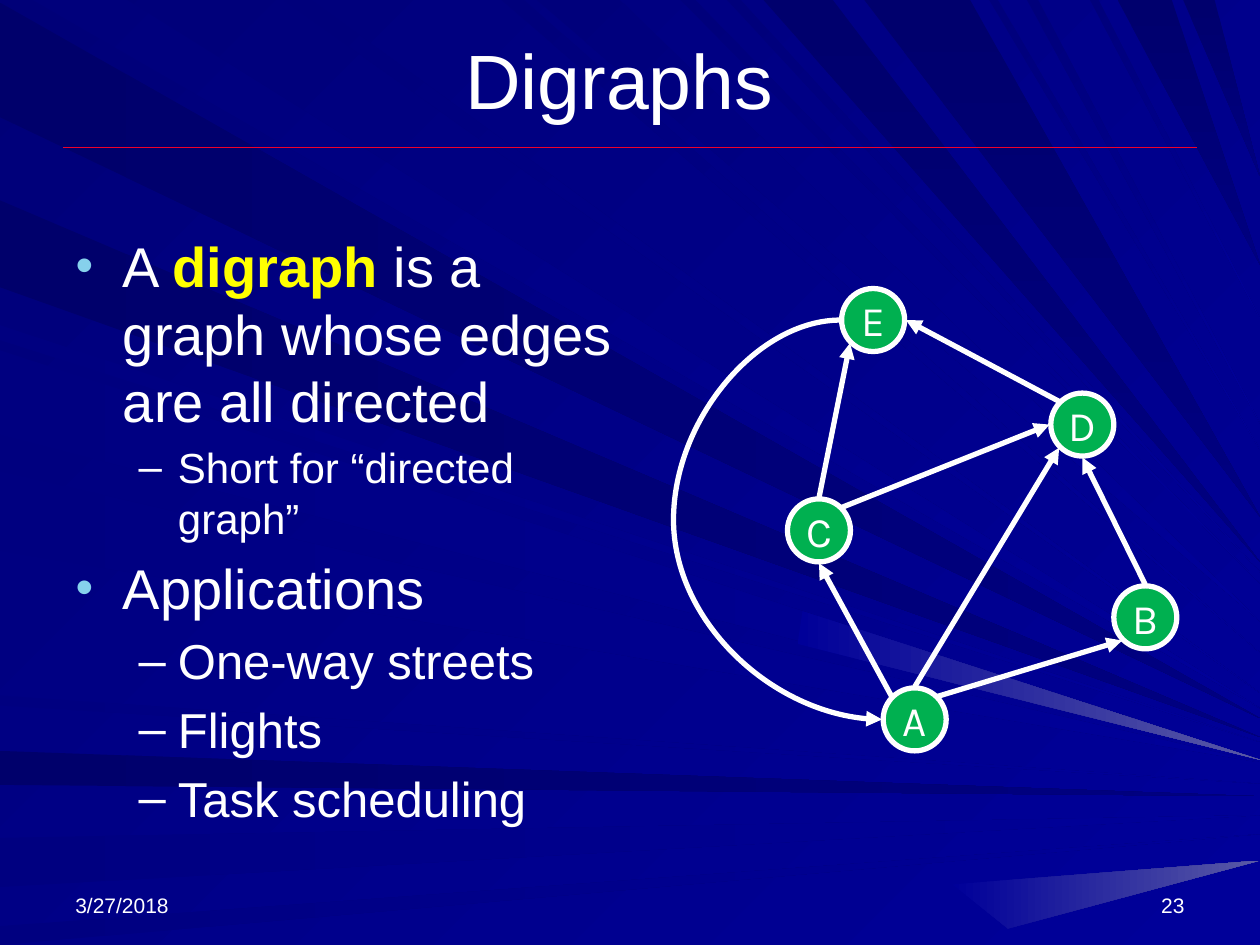
from dataclasses import dataclass
from math import cos, radians, sin

from lxml import etree
from pptx import Presentation
from pptx.dml.color import RGBColor
from pptx.enum.shapes import MSO_CONNECTOR, MSO_SHAPE
from pptx.enum.text import MSO_ANCHOR, MSO_AUTO_SIZE, PP_ALIGN
from pptx.oxml.ns import qn
from pptx.util import Inches, Pt

STRAIGHT, CURVE = MSO_CONNECTOR.STRAIGHT, MSO_CONNECTOR.CURVE
OVAL = MSO_SHAPE.OVAL
MIDDLE, BOTTOM = MSO_ANCHOR.MIDDLE, MSO_ANCHOR.BOTTOM
LEFT, CENTER, RIGHT = PP_ALIGN.LEFT, PP_ALIGN.CENTER, PP_ALIGN.RIGHT
WIDTH, HEIGHT = 10, 7.5
MARGIN = 0.05 * WIDTH


@dataclass(frozen=True)
class Theme:
    text: str = "FFFFFF"
    key: str = "FFFF00"
    bullet: str = "86D1EC"
    rule: str = "EF0129"
    node: str = "00B050"
    sky: tuple = ("000078", "000099", 45)
    deep_top: tuple = ("00006D", "000080", 90)
    soft_top: tuple = ("00007B", "000099", 45)
    deep_left: tuple = ("00006B", "000080", 0)
    soft_left: tuple = ("000080", "000099", 0)
    gleam: tuple = ("000099", "5A5AA6", 0)
    font: str = "Arial"
    node_font: str = "Karla"
    title: int = 44
    item: int = 32
    sub: int = 28
    small_sub: int = 24
    footer: int = 12
    stroke: float = 3
    thin: float = 0.75


THEME = Theme()

# Each ray starts as a span of the top or left edge and narrows to a height on the right edge
TOP_RAYS = {
    THEME.soft_top: [(0.26, 1.01, 5.62), (2.25, 2.47, 5.5), (3.98, 4.16, 5.18),
                     (4.26, 4.92, 4.93), (5.4, 5.52, 4.63), (5.77, 5.88, 4.54),
                     (7.85, 7.92, 3.57), (8.15, 8.24, 3.36), (8.65, 8.72, 2.53)],
    THEME.deep_top: [(6.06, 6.61, 4.46), (6.86, 7.7, 4.1),
                     (8.87, 9.3, 2.1), (9.39, 9.64, 1.4)],
}
LEFT_RAYS = {
    THEME.deep_left: [(0.02, 0.93, 5.7), (1.59, 2.28, 5.85), (5.96, 6.23, 6.32)],
    THEME.soft_left: [(2.58, 2.7, 5.89), (2.78, 3.45, 6.03), (3.74, 4.37, 6.05),
                      (5.52, 5.6, 6.22), (6.65, 7.04, 6.47), (7.35, 7.5, 6.62)],
}
GLEAMS = [((6.37, 4.85), (6.33, 5.11), (WIDTH, 6.03)),
          ((7.56, 7.02), (8, 7.37), (WIDTH, 6.83))]

# Level, size and spans; a span marked True is the key term
ITEMS = [
    (0, THEME.item, [("A ", False), ("digraph", True),
                     (" is a graph whose edges are all directed", False)]),
    (1, THEME.small_sub, [("Short for “directed graph”", False)]),
    (0, THEME.item, [("Applications", False)]),
    (1, THEME.sub, [("One-way streets", False)]),
    (1, THEME.sub, [("Flights", False)]),
    (1, THEME.sub, [("Task scheduling", False)]),
]
NODES = {"A": (7.26, 5.71), "C": (6.5, 4.21), "E": (6.93, 2.54),
         "B": (9.09, 4.9), "D": (8.59, 3.37)}
NODE_SIZE, REACH = 0.5, 0.26
SIDES = ("e", "se", "s", "sw", "w", "nw", "n", "ne")
EDGES = [("A", "nw", "C", "s"), ("A", "ne", "B", "sw"), ("C", "n", "E", "sw"),
         ("D", "nw", "E", "e"), ("B", "n", "D", "s"), ("A", "n", "D", "sw"),
         ("C", "ne", "D", "w")]


def color(value):
    return RGBColor.from_string(value)


def set_format(target, values):
    for name, value in values.items():
        setattr(target, name, value)


def add_span(para, text, size, ink=THEME.text, font=THEME.font, bold=False):
    span = para.add_run()
    span.text = text
    set_format(span.font, {"size": Pt(size), "name": font, "bold": bold})
    span.font.color.rgb = color(ink)


def fill_gradient(fill, start, end, angle):
    """Fill from start to end, with the angle measured clockwise."""
    fill.gradient()
    fill.gradient_angle = -angle % 360
    for stop, value in zip(fill.gradient_stops, (start, end)):
        stop.color.rgb = color(value)


def add_ray(page, tone, *corners):
    points = [tuple(map(Inches, corner)) for corner in corners]
    builder = page.shapes.build_freeform(*points[0])
    builder.add_line_segments(points[1:], close=True)
    ray = builder.convert_to_shape()
    ray.shadow.inherit = False
    ray.line.fill.background()
    fill_gradient(ray.fill, *tone)


def add_rays(page):
    for tone, rays in LEFT_RAYS.items():
        for start, end, tip in rays:
            add_ray(page, tone, (0, start), (0, end), (WIDTH, tip))
    for tone, rays in TOP_RAYS.items():
        for start, end, tip in rays:
            add_ray(page, tone, (start, 0), (end, 0), (WIDTH, tip))
    for corners in GLEAMS:
        add_ray(page, THEME.gleam, *corners)


def add_line(page, begin, end, ink=THEME.text, weight=THEME.stroke, arrow=None, kind=STRAIGHT):
    line = page.shapes.add_connector(kind, *map(Inches, begin + end))
    line.line.color.rgb = color(ink)
    line.line.width = Pt(weight)
    etree.SubElement(line.element.spPr, qn("a:effectLst"))
    if arrow:
        etree.SubElement(line.line._get_or_add_ln(), qn(f"a:{arrow}"), type="triangle")
    return line


def site(name, side):
    """Return the point just outside a node on the given compass side."""
    x, y = NODES[name]
    turn = radians(45 * SIDES.index(side))
    return x + REACH * cos(turn), y + REACH * sin(turn)


def add_node(page, name, x, y):
    half = NODE_SIZE / 2
    node = page.shapes.add_shape(OVAL, *map(Inches, (x - half, y - half, NODE_SIZE, NODE_SIZE)))
    node.shadow.inherit = False
    node.fill.solid()
    node.fill.fore_color.rgb = color(THEME.node)
    node.line.color.rgb = color(THEME.text)
    node.line.width = Pt(THEME.stroke)
    set_format(node.text_frame, {"word_wrap": False, "vertical_anchor": MIDDLE})
    para = node.text_frame.paragraphs[0]
    para.alignment = CENTER
    add_span(para, name, THEME.small_sub, font=THEME.node_font)


def add_return_edge(page):
    """Draw the wide curve from E round the left to A."""
    edge = add_line(page, site("E", "w"), site("A", "w"), arrow="headEnd", kind=CURVE)
    edge.element.spPr.find(qn("a:xfrm")).set("rot", "10800000")
    guides = edge.element.spPr.find(qn("a:prstGeom")).get_or_add_avLst()
    etree.SubElement(guides, qn("a:gd"), name="adj1", fmla="val 501600")


def place(page, holder, *box):
    """Move a placeholder to its box, in front of the shapes drawn so far."""
    page.shapes.element.append(holder.element)
    set_format(holder, dict(zip(("left", "top", "width", "height"), map(Inches, box))))
    set_format(holder.text_frame, {"auto_size": MSO_AUTO_SIZE.NONE, "word_wrap": True})
    return holder.text_frame


def write_items(frame):
    frame.margin_top = Inches(0.09)
    for index, (level, size, spans) in enumerate(ITEMS):
        para = frame.add_paragraph() if index else frame.paragraphs[0]
        para.level = level
        if not index:
            para.space_before = Pt(0)
        if level == 0:
            props = para._p.get_or_add_pPr()
            tint = etree.SubElement(props, qn("a:buClr"))
            etree.SubElement(tint, qn("a:srgbClr"), val=THEME.bullet)
            etree.SubElement(props, qn("a:buSzPct"), val="90000")
        for text, is_key in spans:
            add_span(para, text, size, THEME.key if is_key else THEME.text, bold=is_key)


def add_footer(page, text, left, alignment):
    box = page.shapes.add_textbox(*map(Inches, (left, 6.83, 2.33, 0.5)))
    set_format(box.text_frame, {"word_wrap": True, "vertical_anchor": BOTTOM})
    para = box.text_frame.paragraphs[0]
    para.alignment = alignment
    add_span(para, text, THEME.footer)


def main():
    deck = Presentation()
    set_format(deck, {"slide_width": Inches(WIDTH), "slide_height": Inches(HEIGHT)})
    page = deck.slides.add_slide(deck.slide_layouts[1])
    fill_gradient(page.background.fill, *THEME.sky)
    add_rays(page)
    add_line(page, (MARGIN, 1.17), (WIDTH - MARGIN, 1.17), THEME.rule, THEME.thin)
    title = place(page, page.shapes.title, MARGIN, 0, WIDTH - 2 * MARGIN, 1.25)
    title.vertical_anchor = MIDDLE
    title.paragraphs[0].alignment = CENTER
    add_span(title.paragraphs[0], "Digraphs ", THEME.title)
    write_items(place(page, page.placeholders[1], MARGIN, 1.75, 4.59, 4.95))
    add_footer(page, "3/27/2018", MARGIN, LEFT)
    add_footer(page, "23", WIDTH - MARGIN - 2.33, RIGHT)
    for name, (x, y) in NODES.items():
        add_node(page, name, x, y)
    for source, leave, target, arrive in EDGES:
        add_line(page, site(source, leave), site(target, arrive), arrow="tailEnd")
    add_return_edge(page)
    deck.save("out.pptx")


if __name__ == "__main__":
    main()
